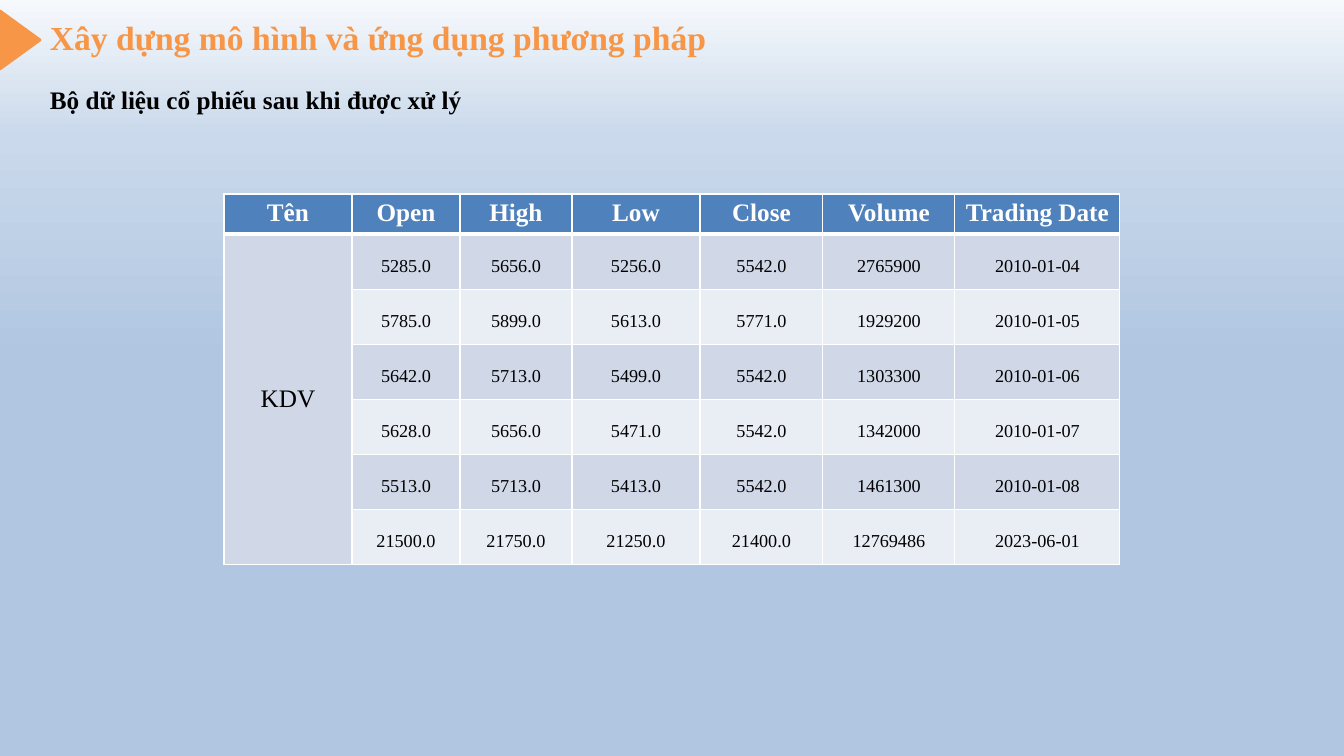
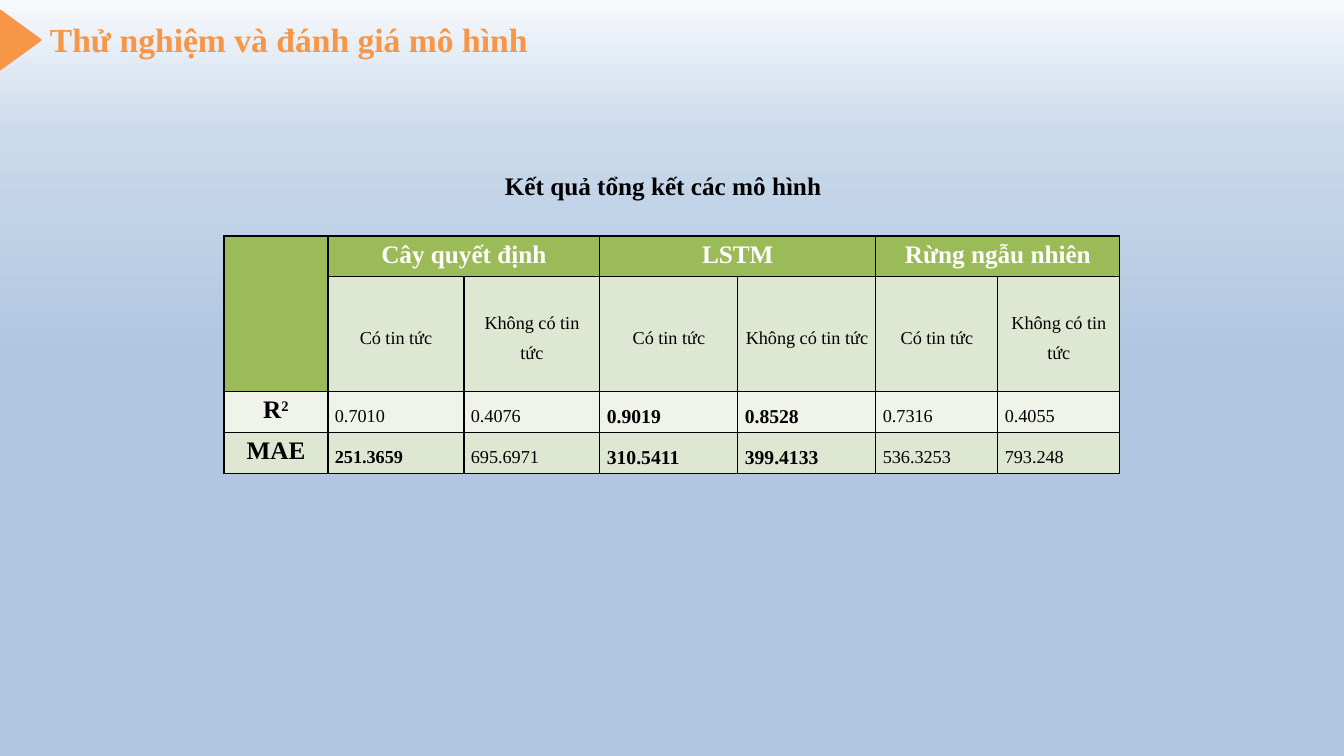
from dataclasses import dataclass, replace
from itertools import product

from pptx import Presentation
from pptx.dml.color import RGBColor
from pptx.enum.shapes import MSO_SHAPE as Shape
from pptx.enum.text import MSO_ANCHOR as Anchor, MSO_AUTO_SIZE as AutoSize, PP_ALIGN as Align
from pptx.oxml import parse_xml
from pptx.oxml.ns import nsdecls, qn
from pptx.util import Emu, Pt

EMU_PER_PX = 914400 / 100.8


@dataclass(frozen=True)
class Theme:
    font: str = "Times New Roman"
    accent: str = "F79646"
    ink: str = "000000"
    white: str = "FFFFFF"
    blue: str = "4F81BD"
    blue_bands: tuple[str, str] = ("D0D8E8", "E9EDF4")
    green: str = "9BBB59"
    green_bands: tuple[str, str] = ("DEE7D1", "EFF3EA")
    backdrop: tuple[tuple[int, str], ...] = (
        (0, "F6F9FC"), (18, "CAD9EB"), (48, "B0C6E1"), (64, "B0C6E1"))
    title_size: int = 24
    label_size: int = 18
    best_size: int = 14
    value_size: int = 13


THEME = Theme()


@dataclass(frozen=True)
class Style:
    size: int
    color: str = THEME.ink
    bold: bool = False
    align: Align = Align.CENTER
    anchor: Anchor = Anchor.TOP
    loose: bool = False  # wide line spacing and narrow cell margins


TITLE = Style(THEME.title_size, THEME.accent, True, Align.LEFT)
CAPTION = Style(THEME.label_size, bold=True, align=Align.LEFT)
HEAD = Style(THEME.label_size, THEME.white, True)
ROW_LABEL = Style(THEME.label_size, bold=True)
GROUP_LABEL = Style(THEME.label_size, anchor=Anchor.MIDDLE)
CENTRED = Style(THEME.value_size, anchor=Anchor.MIDDLE, loose=True)
VALUE = replace(CENTRED, align=Align.JUSTIFY)
BOLD_VALUE = replace(VALUE, bold=True)
BEST = replace(BOLD_VALUE, size=THEME.best_size)


@dataclass(frozen=True)
class Cell:
    text: str
    style: Style
    fill: str
    superscript: str = ""
    rows: int = 1
    cols: int = 1


@dataclass(frozen=True)
class Grid:
    """A table; None marks a place covered by a merged cell."""
    left: int
    top: int
    widths: list[int]
    heights: list[int]
    cells: list[list[Cell | None]]
    border: str
    head_rule: int = 1


def px(n: int) -> Emu:
    return Emu(round(n * EMU_PER_PX))


def rgb(value: str) -> RGBColor:
    return RGBColor.from_string(value)


def format_text(tf, style: Style) -> None:
    for p in tf.paragraphs:
        p.alignment = style.align
        if style.loose:
            p.line_spacing = 1.5
            p.space_before = Pt(10)
        for r in p.runs:
            r.font.name = THEME.font
            r.font.size = Pt(style.size)
            r.font.bold = style.bold
            r.font.color.rgb = rgb(style.color)


def add_text(s, text: str, style: Style, left: int, top: int, width: int, height: int) -> None:
    tf = s.shapes.add_textbox(px(left), px(top), px(width), px(height)).text_frame
    tf.word_wrap = True
    tf.auto_size = AutoSize.SHAPE_TO_FIT_TEXT
    tf.text = text
    format_text(tf, style)


def set_borders(cell, color: str, top: int, bottom: int) -> None:
    tc_pr = cell._tc.get_or_add_tcPr()
    sides = (("L", 1), ("R", 1), ("T", top), ("B", bottom))
    for i, (side, width) in enumerate(sides):
        tc_pr.insert(i, parse_xml(
            f'<a:ln{side} {nsdecls("a")} w="{Pt(width)}"><a:solidFill>'
            f'<a:srgbClr val="{color}"/></a:solidFill></a:ln{side}>'))


def fill_cell(target, cell: Cell) -> None:
    target.text = cell.text
    p = target.text_frame.paragraphs[0]
    if cell.superscript:
        r = p.add_run()
        r.text = cell.superscript
        r._r.get_or_add_rPr().set("baseline", "30000")
    format_text(target.text_frame, cell.style)
    target.vertical_anchor = cell.style.anchor
    if cell.style.loose:
        target.margin_left = target.margin_right = px(7)
        target.margin_top = target.margin_bottom = 0


def add_grid(s, grid: Grid) -> None:
    table = s.shapes.add_table(
        len(grid.heights), len(grid.widths), px(grid.left), px(grid.top),
        px(sum(grid.widths)), px(sum(grid.heights))).table
    table.horz_banding = False
    for column, width in zip(table.columns, grid.widths):
        column.width = px(width)
    for row, height in zip(table.rows, grid.heights):
        row.height = px(height)
    for i, j in product(range(len(grid.heights)), range(len(grid.widths))):
        set_borders(table.cell(i, j), grid.border,
                    top=grid.head_rule if i == 1 else 1,
                    bottom=grid.head_rule if i == 0 else 1)
        cell = grid.cells[i][j]
        if cell is None:
            continue
        target = table.cell(i, j)
        fill_cell(target, cell)
        for di, dj in product(range(cell.rows), range(cell.cols)):
            part = table.cell(i + di, j + dj)
            part.fill.solid()
            part.fill.fore_color.rgb = rgb(cell.fill)
        if cell.rows * cell.cols > 1:
            target.merge(table.cell(i + cell.rows - 1, j + cell.cols - 1))


def set_backdrop(master) -> None:
    fill = master.background.fill
    fill.gradient()
    fill.gradient_angle = 270
    stops = master.element.find(".//" + qn("a:gsLst"))
    for stop in list(stops):
        stops.remove(stop)
    for position, color in THEME.backdrop:
        stops.append(parse_xml(
            f'<a:gs {nsdecls("a")} pos="{position * 1000}"><a:srgbClr val="{color}"/></a:gs>'))


def add_titled_slide(prs, title: str, title_top: int):
    s = prs.slides.add_slide(prs.slide_layouts[6])
    sp = s.shapes.add_shape(Shape.ISOSCELES_TRIANGLE, px(-9), px(20), px(58), px(40))
    sp.rotation = 90
    sp.shadow.inherit = False
    sp.fill.solid()
    sp.fill.fore_color.rgb = sp.line.color.rgb = rgb(THEME.accent)
    sp.line.width = Pt(2)
    add_text(s, title, TITLE, 40, title_top, 707, 50)
    return s


def stock_grid() -> Grid:
    names = ["Tên", "Open", "High", "Low", "Close", "Volume", "Trading Date"]
    records = [
        ["5285.0", "5656.0", "5256.0", "5542.0", "2765900", "2010-01-04"],
        ["5785.0", "5899.0", "5613.0", "5771.0", "1929200", "2010-01-05"],
        ["5642.0", "5713.0", "5499.0", "5542.0", "1303300", "2010-01-06"],
        ["5628.0", "5656.0", "5471.0", "5542.0", "1342000", "2010-01-07"],
        ["5513.0", "5713.0", "5413.0", "5542.0", "1461300", "2010-01-08"],
        ["21500.0", "21750.0", "21250.0", "21400.0", "12769486", "2023-06-01"],
    ]
    cells = [[Cell(name, HEAD, THEME.blue) for name in names]]
    for i, record in enumerate(records):
        band = THEME.blue_bands[i % 2]
        stock = Cell("KDV", GROUP_LABEL, band, rows=len(records)) if i == 0 else None
        cells.append([stock, *(Cell(value, CENTRED, band) for value in record)])
    return Grid(224, 194, [128, 108, 112, 128, 123, 132, 165],
                [39] + [55] * len(records), cells, THEME.white, head_rule=3)


def result_grid() -> Grid:
    models = ["Cây quyết định", "LSTM", "Rừng ngẫu nhiên"]
    dark, light = THEME.green_bands
    head: list[Cell | None] = [Cell("", HEAD, THEME.green, rows=2)]
    inputs: list[Cell | None] = [None]
    for model in models:
        head += [Cell(model, HEAD, THEME.green, cols=2), None]
        inputs += [Cell(text, CENTRED, dark) for text in ("Có tin tức", "Không có tin tức")]
    r2 = ["0.7010", "0.4076", "0.9019", "0.8528", "0.7316", "0.4055"]
    mae = ["251.3659", "695.6971", "310.5411", "399.4133", "536.3253", "793.248"]
    r2_styles = [VALUE, VALUE, BEST, BEST, VALUE, VALUE]
    mae_styles = [BOLD_VALUE, *r2_styles[1:]]
    cells = [
        head,
        inputs,
        [Cell("R", ROW_LABEL, light, superscript="2"),
         *(Cell(v, style, light) for v, style in zip(r2, r2_styles))],
        [Cell("MAE", ROW_LABEL, dark),
         *(Cell(v, style, dark) for v, style in zip(mae, mae_styles))],
    ]
    return Grid(224, 236, [104, 136, 136, 138, 138, 122, 122],
                [38, 115, 41, 41], cells, THEME.ink)


def main() -> None:
    prs = Presentation()
    prs.slide_width, prs.slide_height = px(1344), px(756)
    set_backdrop(prs.slide_master)

    s = add_titled_slide(prs, "Xây dựng mô hình và ứng dụng phương pháp", 12)
    add_text(s, "Bộ dữ liệu cổ phiếu sau khi được xử lý", CAPTION, 40, 79, 490, 40)
    add_grid(s, stock_grid())

    s = add_titled_slide(prs, "Thử nghiệm và đánh giá mô hình", 14)
    add_grid(s, result_grid())
    add_text(s, "Kết quả tổng kết các mô hình", CAPTION, 495, 165, 353, 40)

    prs.save("out.pptx")


if __name__ == "__main__":
    main()
